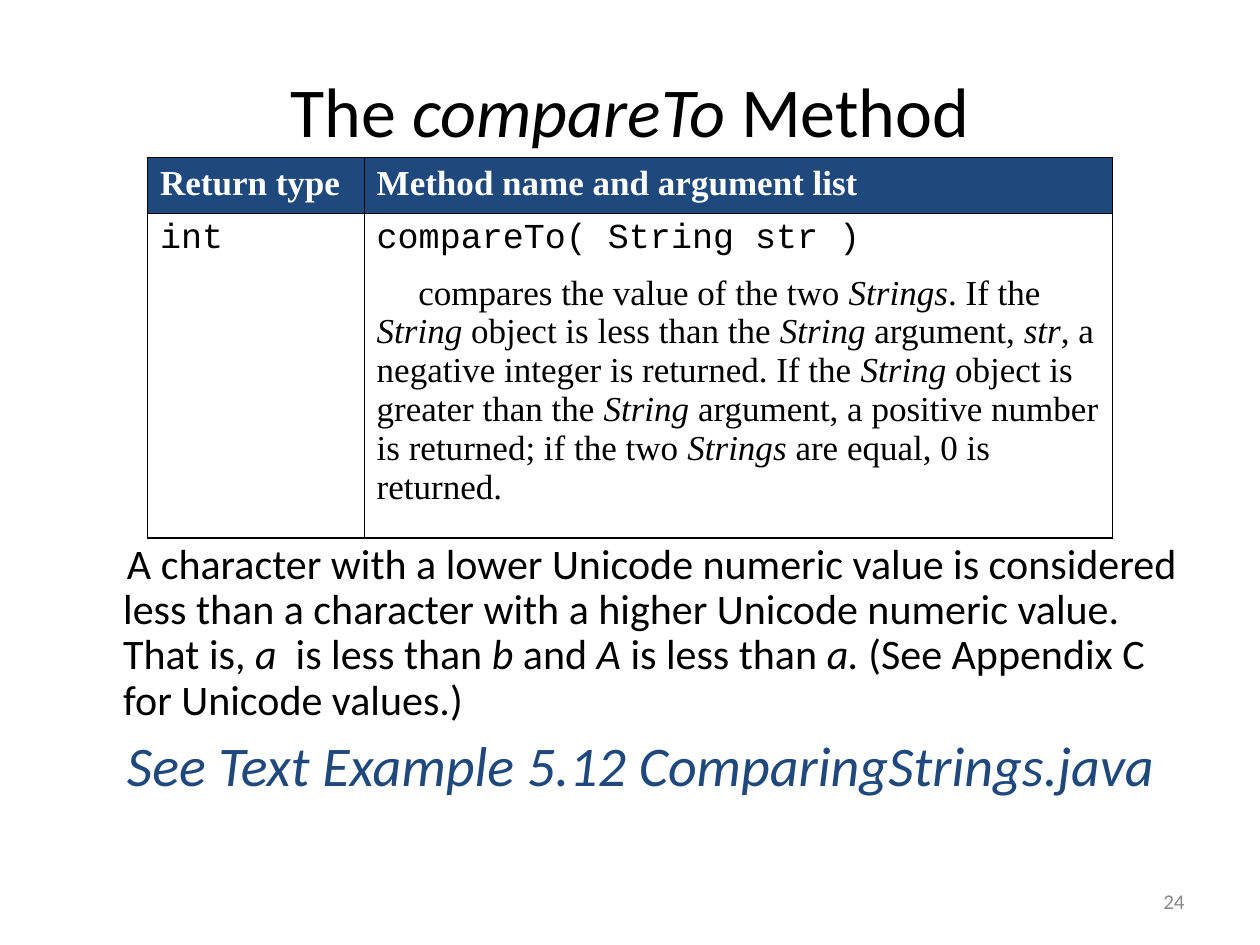
from dataclasses import dataclass
from lxml.etree import SubElement
from pptx import Presentation
from pptx.dml.color import RGBColor as Rgb
from pptx.enum.text import MSO_ANCHOR as Anchor, PP_ALIGN as Align
from pptx.oxml.ns import qn
from pptx.util import Inches, Pt


@dataclass(frozen=True)
class Theme:
    """Colours, fonts and type sizes of the slide."""
    ink: str = "000000"
    navy: str = "1F497D"
    white: str = "FFFFFF"
    grey: str = "898989"
    sans: str = "Calibri"
    serif: str = "Times New Roman"
    mono: str = "Courier New"
    title: int = 40
    large: int = 32
    body: int = 24
    cell: int = 20
    small: int = 12
    thick: float = 1.08
    thin: float = 0.45


T = Theme()


def write(frame, text, size=T.body, font=T.sans, color=T.ink, bold=False,
          align=Align.LEFT, before=0, line=None, left=0, first=0):
    """Add a paragraph in which *asterisks* enclose italic words."""
    used = frame.paragraphs[0].runs
    para = frame.add_paragraph() if used else frame.paragraphs[0]
    para.alignment, para.space_before = align, Pt(before)
    para.line_spacing = line
    props = para._p.get_or_add_pPr()
    props.set("marL", str(Inches(left)))
    props.set("indent", str(Inches(first)))
    for i, part in enumerate(text.split("*")):
        if part:
            run = para.add_run()
            run.text = part
            face = run.font
            face.name, face.size = font, Pt(size)
            face.bold, face.italic = bold, i % 2 == 1
            face.color.rgb = Rgb.from_string(color)


def add_box(slide, box, anchor=Anchor.TOP):
    """Add a wrapping text box and return its frame."""
    frame = slide.shapes.add_textbox(*map(Inches, box)).text_frame
    frame.word_wrap, frame.vertical_anchor = True, anchor
    return frame


def add_title(slide, box):
    """Place the slide title."""
    write(add_box(slide, box, Anchor.MIDDLE), "The *compareTo* Method",
          size=T.title, align=Align.CENTER)


def edge(cell, sides):
    """Draw the cell borders, given as tag and width pairs."""
    props = cell._tc.get_or_add_tcPr()
    for tag, width in sides:
        rule = SubElement(props, qn(f"a:{tag}"), w=str(Pt(width)))
        fill = SubElement(rule, qn("a:solidFill"))
        SubElement(fill, qn("a:srgbClr"), val=T.ink)


def add_grid(slide, box, cols, rows):
    """Place the table that describes the method."""
    shape = slide.shapes.add_table(len(rows), len(cols), *map(Inches, box))
    grid = shape.table
    grid.horz_banding = False
    for col, width in zip(grid.columns, cols):
        col.width = Inches(width)
    for row, height in zip(grid.rows, rows):
        row.height = Inches(height)
    for r in range(len(rows)):
        for c in range(len(cols)):
            cell = grid.cell(r, c)
            outer = {"lnL": c == 0, "lnR": c == len(cols) - 1,
                     "lnT": r == 0, "lnB": r == len(rows) - 1}
            edge(cell, [(tag, T.thick if out else T.thin)
                        for tag, out in outer.items()])
            if r == 0:
                cell.fill.solid()
                cell.fill.fore_color.rgb = Rgb.from_string(T.navy)
            else:
                cell.fill.background()
    for c, head in enumerate(["Return type", "Method name and argument list"]):
        write(grid.cell(0, c).text_frame, head, size=T.cell, font=T.serif,
              color=T.white, bold=True)
    for c, code in enumerate(["int", "compareTo( String str )"]):
        write(grid.cell(1, c).text_frame, code, size=T.cell, font=T.mono)
    write(grid.cell(1, 1).text_frame,
          "compares the value of the two *Strings*. If the *String* object is "
          "less than the *String* argument, *str*, a negative integer is "
          "returned. If the *String* object is greater than the *String* "
          "argument, a positive number is returned; if the two *Strings* are "
          "equal, 0 is returned.",
          size=T.cell, font=T.serif, before=8.5, first=0.33)


def add_notes(slide, box):
    """Place the remarks below the table."""
    frame = add_box(slide, box)
    rule = dict(line=0.9, left=0.38, first=0.03)
    write(frame,
          "A character with a lower Unicode numeric value is considered less "
          "than a character with a higher Unicode numeric value. That is, *a*  "
          "is less than *b* and *A* is less than *a. *(See Appendix C for "
          "Unicode values.)", **rule)
    write(frame, "*See Text Example 5.12 ComparingStrings.java*",
          size=T.large, color=T.navy, before=8, **rule)


def add_number(slide, box):
    """Place the slide number."""
    write(add_box(slide, box, Anchor.MIDDLE), "24", size=T.small,
          color=T.grey, align=Align.RIGHT)


def main():
    """Build the slide and save it."""
    deck = Presentation()
    deck.slide_width, deck.slide_height = Inches(10), Inches(7.5)
    slide = deck.slides.add_slide(deck.slide_layouts[6])
    add_title(slide, (0.75, 0.58, 8.5, 0.58))
    add_notes(slide, (0.5, 4.26, 9, 2.44))
    add_grid(slide, (1.17, 1.25, 7.66, 3.02), (1.72, 5.94), (0.44, 2.58))
    add_number(slide, (7.17, 6.95, 2.33, 0.4))
    deck.save("out.pptx")


if __name__ == "__main__":
    main()
